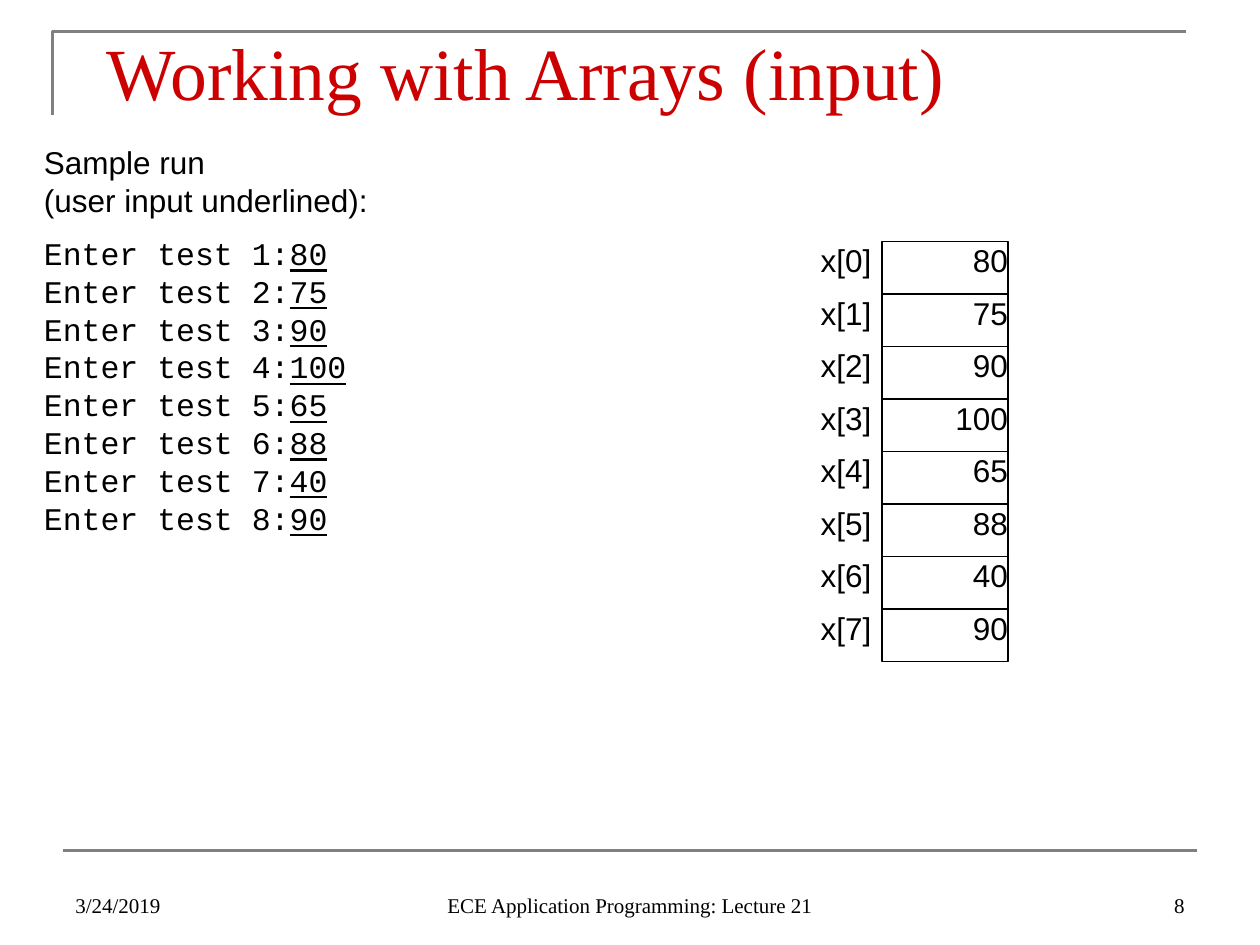
from dataclasses import dataclass

from lxml import etree
from pptx import Presentation
from pptx.dml.color import RGBColor
from pptx.enum.shapes import MSO_CONNECTOR, MSO_SHAPE
from pptx.enum.text import MSO_ANCHOR, PP_ALIGN
from pptx.oxml.ns import qn
from pptx.util import Inches, Pt

LEFT, CENTER, RIGHT = PP_ALIGN.LEFT, PP_ALIGN.CENTER, PP_ALIGN.RIGHT
TOP, BOTTOM = MSO_ANCHOR.TOP, MSO_ANCHOR.BOTTOM
RECTANGLE = MSO_SHAPE.RECTANGLE
STRAIGHT = MSO_CONNECTOR.STRAIGHT

SLIDE_WIDTH, SLIDE_HEIGHT = Inches(10), Inches(7.5)
COLUMNS, ROWS = 120, 90
SCORES = (80, 75, 90, 100, 65, 88, 40, 90)
FIRST_CELL_ROW, CELL_ROWS = 23, 5


@dataclass(frozen=True)
class TextStyle:
    name: str
    size: float
    color: RGBColor


@dataclass(frozen=True)
class Theme:
    black = RGBColor(0, 0, 0)
    rule = RGBColor(0x80, 0x80, 0x80)
    rule_width = Pt(1.5)
    cell_width = Pt(0.75)
    paragraph_gap = Pt(9)
    title = TextStyle("Times New Roman", 42, RGBColor(0xCC, 0, 0))
    body = TextStyle("Arial", 18, black)
    console = TextStyle("Courier New", 18, black)
    footer = TextStyle("Times New Roman", 12, black)


@dataclass(frozen=True)
class Area:
    """A block of the slide grid."""
    column: float
    row: float
    columns: float
    rows: float

    def lengths(self) -> tuple:
        return (across(self.column), down(self.row),
                across(self.columns), down(self.rows))


@dataclass(frozen=True)
class Label:
    text: str
    area: Area
    style: TextStyle
    alignment: PP_ALIGN = LEFT
    anchor: MSO_ANCHOR = TOP
    inset: bool = True


def across(columns: float) -> int:
    return round(SLIDE_WIDTH * columns / COLUMNS)


def down(rows: float) -> int:
    return round(SLIDE_HEIGHT * rows / ROWS)


def add_run(paragraph, text: str, style: TextStyle, underline: bool = False) -> None:
    run = paragraph.add_run()
    run.text = text
    run.font.color.rgb = style.color
    formats = {"name": style.name, "size": Pt(style.size), "underline": underline}
    for attribute, value in formats.items():
        setattr(run.font, attribute, value)


def write_label(shape, label: Label) -> None:
    frame = shape.text_frame
    formats = {"word_wrap": True, "vertical_anchor": label.anchor}
    if not label.inset:
        sides = ("left", "top", "right", "bottom")
        formats |= {f"margin_{side}": 0 for side in sides}
    for attribute, value in formats.items():
        setattr(frame, attribute, value)
    paragraph = frame.paragraphs[0]
    paragraph.alignment = label.alignment
    add_run(paragraph, label.text, label.style)


def add_label(slide, label: Label) -> None:
    write_label(slide.shapes.add_textbox(*label.area.lengths()), label)


def add_cell(slide, label: Label) -> None:
    cell = slide.shapes.add_shape(RECTANGLE, *label.area.lengths())
    cell.shadow.inherit = False
    cell.fill.background()
    cell.line.color.rgb = Theme.black
    cell.line.width = Theme.cell_width
    write_label(cell, label)


def add_rules(slide) -> None:
    """Draw the corner around the title and the line above the footer."""
    builder = slide.shapes.build_freeform(across(5), down(11))
    builder.add_line_segments(
        [(across(5), down(3)), (across(113), down(3))], close=False)
    corner = builder.convert_to_shape()
    corner.shadow.inherit = False
    corner.fill.background()
    footer_rule = slide.shapes.add_connector(
        STRAIGHT, across(6), down(81), across(114), down(81))
    etree.SubElement(footer_rule._element.spPr, qn("a:effectLst"))
    for shape in (corner, footer_rule):
        shape.line.color.rgb = Theme.rule
        shape.line.width = Theme.rule_width


def add_sample_run(slide) -> None:
    box = slide.shapes.add_textbox(*Area(3, 13, 48, 63.5).lengths())
    frame = box.text_frame
    frame.word_wrap = True
    heading = frame.paragraphs[0]
    add_run(heading, "Sample run ", Theme.body)
    heading.add_line_break()
    add_run(heading, "(user input underlined):", Theme.body)
    console = frame.add_paragraph()
    console.space_before = Theme.paragraph_gap
    for number, score in enumerate(SCORES, start=1):
        if number > 1:
            console.add_line_break()
        add_run(console, f"Enter test {number}:", Theme.console)
        add_run(console, str(score), Theme.console, underline=True)


def add_array(slide) -> None:
    for index, score in enumerate(SCORES):
        row = FIRST_CELL_ROW + index * CELL_ROWS
        add_label(slide, Label(f"x[{index}]", Area(72, row, 11, CELL_ROWS),
                               Theme.body, RIGHT, inset=False))
        add_cell(slide, Label(str(score), Area(84, row, 12, CELL_ROWS),
                              Theme.body, RIGHT, inset=False))


def main() -> None:
    presentation = Presentation()
    presentation.slide_width, presentation.slide_height = SLIDE_WIDTH, SLIDE_HEIGHT
    slide = presentation.slides.add_slide(presentation.slide_layouts[6])
    add_rules(slide)
    add_label(slide, Label("Working with Arrays (input)", Area(9, 2, 102, 7), Theme.title))
    add_sample_run(slide)
    add_array(slide)
    footers = (
        Label("3/24/2019", Area(6, 82, 28, 6), Theme.footer, LEFT, BOTTOM),
        Label("ECE Application Programming: Lecture 21",
              Area(41, 82, 38, 6), Theme.footer, CENTER, BOTTOM),
        Label("8", Area(86, 82, 28, 6), Theme.footer, RIGHT, BOTTOM),
    )
    for footer in footers:
        add_label(slide, footer)
    presentation.save("out.pptx")


if __name__ == "__main__":
    main()
